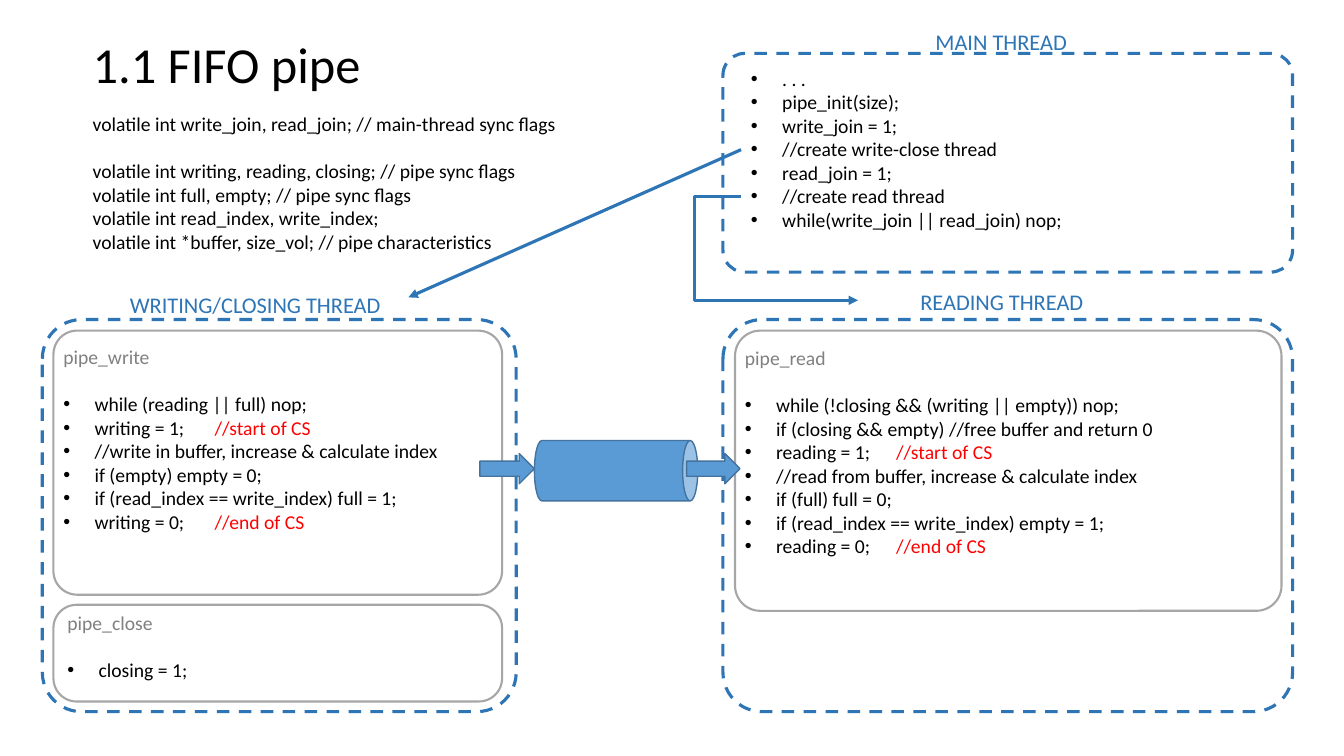
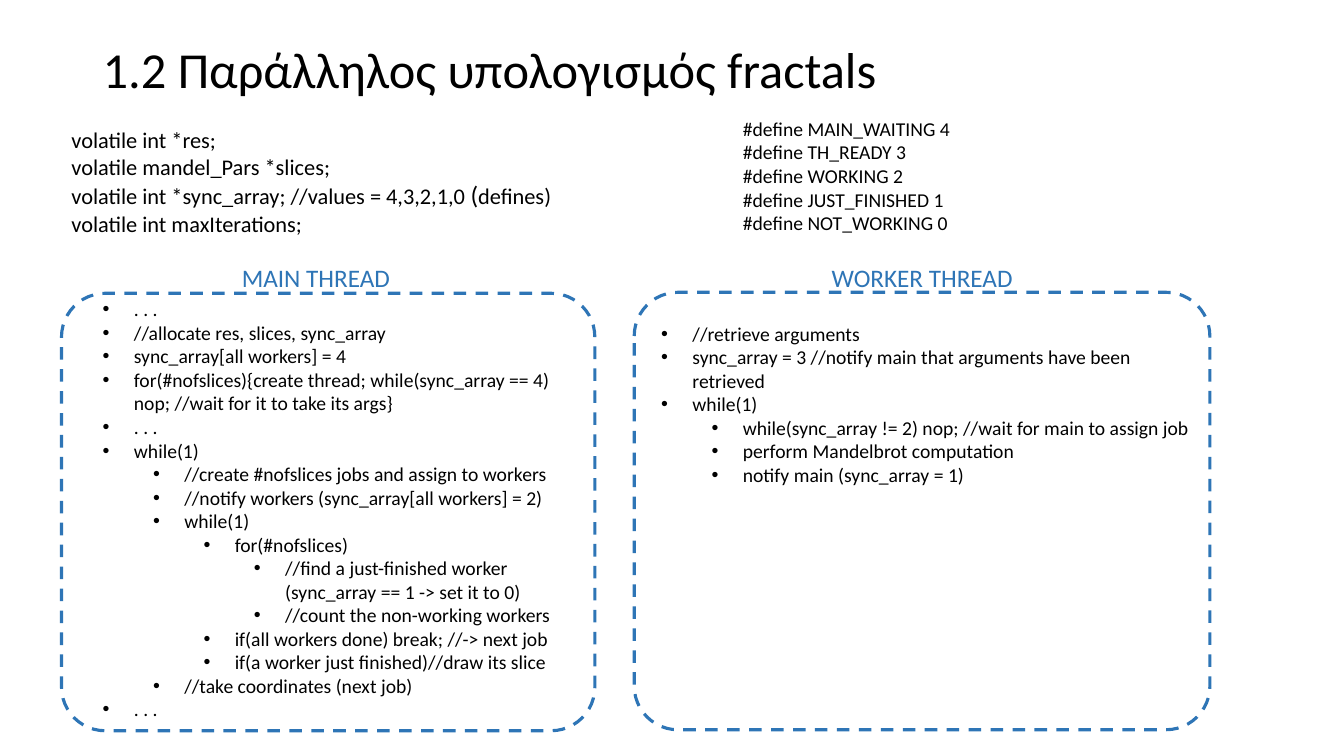
from lxml import etree
from pptx import Presentation
from pptx.dml.color import RGBColor
from pptx.enum import dml, shapes, text
from pptx.oxml import ns
from pptx.util import Pt

PX = 9144  # 100 px to the inch
BULLET_INDENT = 31
LEVEL_STEP = 50
BLANK_LINE = Pt(17)
BLACK, GREY, RED = "000000", "808080", "FF0000"
BLUE, FILL_BLUE, EDGE_BLUE, EDGE_GREY = "2E75B6", "5B9BD5", "43739E", "A6A6A6"
FONT = "Calibri"
rgb = RGBColor.from_string
Kind = shapes.MSO_SHAPE

prs = Presentation()
prs.slide_width, prs.slide_height = 1333 * PX, 750 * PX
fifo, fractals = [prs.slides.add_slide(prs.slide_layouts[6]) for _ in range(2)]


def add_text(slide, box, lines, size=14, color=BLACK, heading=None,
             bullets=False, accent_size=None, accent_color=None):
    """Four leading spaces make a level; odd pieces of a tuple are accented."""
    sp = slide.shapes.add_textbox(*[v * PX for v in box])
    tf = sp.text_frame
    tf.word_wrap = True
    if heading:
        lines = [heading] + lines
    for i, line in enumerate(lines):
        is_heading = bool(heading) and i == 0
        pieces = line if isinstance(line, tuple) else (line,)
        level = (len(pieces[0]) - len(pieces[0].lstrip(" "))) // 4
        p = tf.paragraphs[0] if i == 0 else tf.add_paragraph()
        p.level = level
        for j, piece in enumerate(pieces):
            r = p.add_run()
            r.text = piece.lstrip(" ") if j == 0 else piece
            accent = j % 2 == 1
            r.font.name = FONT
            r.font.size = Pt(accent_size if accent and accent_size else size)
            r.font.color.rgb = rgb(GREY if is_heading else
                                   accent_color if accent and accent_color else color)
        if is_heading:
            p.space_after = BLANK_LINE
        elif bullets:
            pPr = p._p.get_or_add_pPr()
            pPr.set("marL", str((BULLET_INDENT + level * LEVEL_STEP) * PX))
            pPr.set("indent", str(-BULLET_INDENT * PX))
            etree.SubElement(pPr, ns.qn("a:buFont"), typeface="Arial")
            etree.SubElement(pPr, ns.qn("a:buChar"), char="•")
    return sp


def add_shape(slide, kind, box, line, width, fill=None, corner=None, dash=None, rotation=0):
    sp = slide.shapes.add_shape(kind, *[v * PX for v in box])
    sp.shadow.inherit = False
    sp.rotation = rotation
    if corner is not None:
        sp.adjustments[0] = corner
    if fill:
        sp.fill.solid()
        sp.fill.fore_color.rgb = rgb(fill)
    else:
        sp.fill.background()
    sp.line.color.rgb = rgb(line)
    sp.line.width = Pt(width)
    if dash:
        sp.line.dash_style = dash


# Titles
for slide, box, title in [
    (fifo, (82, 27, 1150, 79), "1.1 FIFO pipe"),
    (fractals, (92, 32, 1150, 79), "1.2 Παράλληλος υπολογισμός fractals"),
]:
    tf = add_text(slide, box, [title], size=36).text_frame
    tf.vertical_anchor = text.MSO_ANCHOR.MIDDLE
    tf.paragraphs[0].line_spacing = 0.9

# Thread frames and their labels
for slide, frame, label_at, label, size in [
    (fifo, (42, 317, 470, 389), (119, 284), "WRITING/CLOSING THREAD", 16),
    (fifo, (717, 317, 565, 389), (903, 281), "READING THREAD", 16),
    (fifo, (717, 53, 565, 217), (918, 23), "MAIN THREAD", 16),
    (fractals, (61, 291, 529, 434), (230, 255), "MAIN THREAD", 18),
    (fractals, (629, 290, 571, 434), (815, 255), "WORKER THREAD", 18),
]:
    add_shape(slide, Kind.ROUNDED_RECTANGLE, frame, BLUE, 2.25, corner=0.1,
              dash=dml.MSO_LINE.DASH)
    add_text(slide, (*label_at, 367, 40), [label], size=size, color=BLUE)

# Slide 1: shared flags
flags = add_text(fifo, (82, 106, 535, 151), [
    "volatile int write_join, read_join; // main-thread sync flags",
    "volatile int writing, reading, closing; // pipe sync flags",
    "volatile int full, empty; // pipe sync flags",
    "volatile int read_index, write_index;",
    "volatile int *buffer, size_vol; // pipe characteristics",
])
flags.text_frame.paragraphs[0].space_after = BLANK_LINE

# Slide 1: pipe functions
for frame, corner, box, name, lines in [
    ((53, 328, 445, 262), 0.09, (53, 337, 477, 222), "pipe_write", [
        "while (reading || full) nop;",
        ("writing = 1;\t", "//start of CS"),
        "//write in buffer, increase & calculate index",
        "if (empty) empty = 0;",
        "if (read_index == write_index) full = 1;",
        ("writing = 0;\t", "//end of CS"),
    ]),
    ((53, 600, 445, 96), 0.24, (57, 601, 477, 81), "pipe_close", ["closing = 1;"]),
    ((729, 328, 542, 278), 0.09, (729, 338, 554, 293), "pipe_read", [
        "while (!closing && (writing || empty)) nop;",
        "if (closing && empty) //free buffer and return 0",
        ("reading = 1;\t", "//start of CS"),
        "//read from buffer, increase & calculate index",
        "if (full) full = 0;",
        "if (read_index == write_index) empty = 1;",
        ("reading = 0;\t", "//end of CS"),
    ]),
]:
    add_shape(fifo, Kind.ROUNDED_RECTANGLE, frame, EDGE_GREY, 1.5, corner=corner)
    add_text(fifo, box, lines, heading=name, bullets=True, accent_color=RED)

# Slide 1: the pipe with its way in and way out
for kind, box, rotation in [
    (Kind.CAN, (581, 386, 60, 162), 90),
    (Kind.RIGHT_ARROW, (476, 450, 54, 30), 0),
    (Kind.RIGHT_ARROW, (681, 450, 53, 30), 0),
]:
    add_shape(fifo, kind, box, EDGE_BLUE, 1, fill=FILL_BLUE, rotation=rotation)

main_steps = add_text(fifo, (735, 61, 548, 175), [
    ". . .",
    "pipe_init(size);",
    "write_join = 1;",
    "//create write-close thread",
    "read_join = 1;",
    "//create read thread",
    "while(write_join || read_join) nop;",
], bullets=True)

# Slide 1: arrows from the main thread to the threads it creates
to_writer, to_reader = [
    fifo.shapes.add_connector(kind, *[v * PX for v in ends])
    for kind, ends in [
        (shapes.MSO_CONNECTOR.STRAIGHT, (735, 148, 405, 295)),
        (shapes.MSO_CONNECTOR.ELBOW, (735, 195, 851, 298)),
    ]
]
to_writer.begin_connect(main_steps, 1)
for arrow in (to_writer, to_reader):
    arrow.line.color.rgb = rgb(BLUE)
    arrow.line.width = Pt(2.25)
    etree.SubElement(arrow.line._get_or_add_ln(), ns.qn("a:tailEnd"), type="triangle")
    etree.SubElement(arrow._element.spPr, ns.qn("a:effectLst"))
bend = arrow._element.spPr.find(ns.qn("a:prstGeom")).get_or_add_avLst()
etree.SubElement(bend, ns.qn("a:gd"), name="adj1", fmla="val -39500")

# Slide 2: shared data and states
add_text(fractals, (61, 120, 568, 125), [
    "volatile int *res;",
    "volatile mandel_Pars *slices;",
    ("volatile int *sync_array; //values = 4,3,2,1,0 ", "(", "defines)"),
    "volatile int maxIterations;",
], size=16, accent_size=18)
add_text(fractals, (727, 111, 375, 128), [
    "#define MAIN_WAITING 4",
    "#define TH_READY 3",
    "#define WORKING 2",
    "#define JUST_FINISHED 1",
    "#define NOT_WORKING 0",
])

# Slide 2: thread steps
add_text(fractals, (92, 290, 498, 434), [
    ". . .",
    "//allocate res, slices, sync_array",
    "sync_array[all workers] = 4",
    "for(#nofslices){create thread; while(sync_array == 4) nop; //wait for it to take its args}",
    ". . .",
    "while(1)",
    "    //create #nofslices jobs and assign to workers",
    "    //notify workers (sync_array[all workers] = 2)",
    "    while(1)",
    "        for(#nofslices)",
    "            //find a just-finished worker (sync_array == 1 -> set it to 0)",
    "            //count the non-working workers",
    "        if(all workers done) break; //-> next job",
    "        if(a worker just finished)//draw its slice",
    "    //take coordinates (next job)",
    ". . .",
], bullets=True)
add_text(fractals, (646, 314, 554, 246), [
    "//retrieve arguments",
    "sync_array = 3 //notify main that arguments have been retrieved",
    "while(1)",
    "    while(sync_array != 2) nop; //wait for main to assign job",
    "    perform Mandelbrot computation",
    "    notify main (sync_array = 1)",
], bullets=True)

prs.save("out.pptx")
